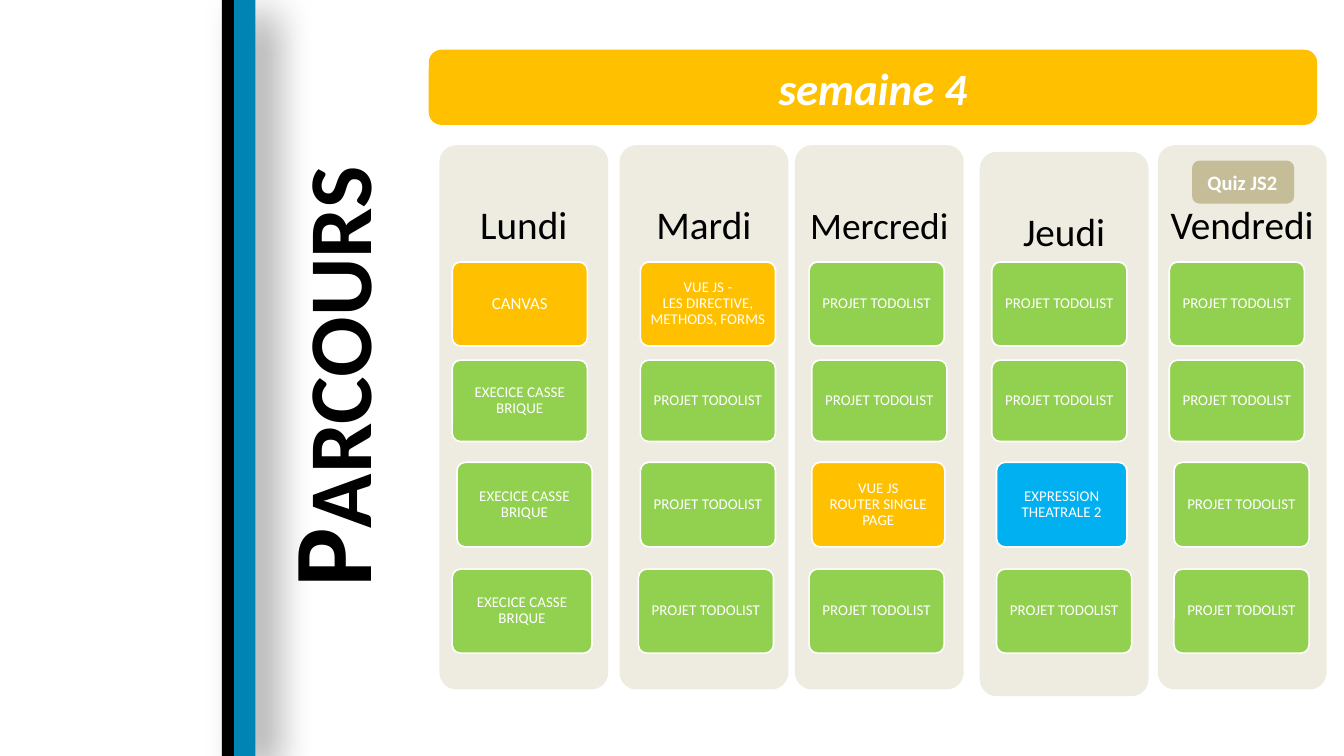
from lxml.etree import SubElement
from pptx import Presentation
from pptx.dml.color import RGBColor
from pptx.enum.shapes import MSO_SHAPE
from pptx.enum.text import MSO_ANCHOR, MSO_AUTO_SIZE, PP_ALIGN
from pptx.oxml.ns import qn
from pptx.util import Inches, Pt

COLORS = {
    "black": "000000", "white": "FFFFFF", "blue": "0084B4", "shade": "333333",
    "sand": "EEECE1", "khaki": "C4BD97", "gold": "FFC000",
    "green": "92D050", "sky": "00B0F0",
}

# The slide is a grid of 100 columns by 56.25 rows, each a tenth of an inch
COLS, ROWS = 100, 56.25
DAY_W, DAY_H = 12.56, 40.5
HEAD_H = 11.3
SLOTS = [(19.5, 6.25), (26.8, 6.05), (34.4, 6.3), (42.35, 6.25)]

TODO = ("PROJET TODOLIST", "green")
GAME = ("EXECICE CASSE BRIQUE", "green")
VUE = ("VUE JS -\vLES DIRECTIVE, METHODS, FORMS", "gold")
ROUTER = ("VUE JS\vROUTER SINGLE PAGE", "gold")

# Day, left, top, text size, then (lesson, left, width) for each slot
WEEK = [
    ("Lundi", 32.7, 10.8, 21,
     [(("CANVAS", "gold"), 33.65, 10.05), (GAME, 33.65, 10.05),
      (GAME, 34, 10.05), (GAME, 33.65, 10.4)]),
    ("Mardi", 46.1, 10.8, 21,
     [(VUE, 47.65, 10.05), (TODO, 47.65, 10.05),
      (TODO, 47.65, 10.05), (TODO, 47.5, 10.05)]),
    ("Mercredi", 59.15, 10.8, 20,
     [(TODO, 60.2, 10.05), (TODO, 60.4, 10.05),
      (ROUTER, 60.4, 9.9), (TODO, 60.2, 10.05)]),
    ("Jeudi", 72.9, 11.3, 21,
     [(TODO, 73.8, 10.05), (TODO, 73.8, 10.05),
      (("EXPRESSION THEATRALE 2", "sky"), 74.15, 9.7), (TODO, 74.15, 10.05)]),
    ("Vendredi", 86.15, 10.8, 21,
     [(TODO, 87, 10.05), (TODO, 87, 10.05),
      (TODO, 87.35, 10.05), (TODO, 87.35, 10.05)]),
]


def unit(n):
    return Inches(n / 10)


def rgb(name):
    return RGBColor.from_string(COLORS[name])


def add_box(slide, x, y, w, h, fill, edge=None, curve=None):
    kind = MSO_SHAPE.RECTANGLE if curve is None else MSO_SHAPE.ROUNDED_RECTANGLE
    box = slide.shapes.add_shape(kind, unit(x), unit(y), unit(w), unit(h))
    box.shadow.inherit = False
    box.fill.solid()
    box.fill.fore_color.rgb = rgb(fill)
    if curve is not None:
        box.adjustments[0] = curve
    if edge:
        box.line.color.rgb = rgb(edge)
        box.line.width = Pt(0.85)
    else:
        box.line.fill.background()
    return box


def set_text(shape, text, size, color, bold=False, italic=False,
             pads=(1, 0.5, 1, 0.5), space=1.0, align=PP_ALIGN.CENTER):
    frame = shape.text_frame
    frame.text = text
    frame.word_wrap = True
    frame.auto_size = MSO_AUTO_SIZE.NONE
    frame.vertical_anchor = MSO_ANCHOR.MIDDLE
    (frame.margin_left, frame.margin_top,
     frame.margin_right, frame.margin_bottom) = map(unit, pads)
    para = frame.paragraphs[0]
    para.alignment = align
    para.line_spacing = space
    for run in para.runs:
        font = run.font
        font.name, font.size = "Calibri", Pt(size)
        font.bold, font.italic = bold, italic
        font.color.rgb = rgb(color)
    return frame


def add_shade(shape):
    effects = shape._element.spPr.find(qn("a:effectLst"))
    shade = SubElement(effects, qn("a:outerShdw"), blurRad=str(Pt(23)),
                       dist=str(Pt(11)), dir=str(45 * 60000),
                       algn="tl", rotWithShape="0")
    color = SubElement(shade, qn("a:srgbClr"), val=COLORS["shade"])
    SubElement(color, qn("a:alpha"), val="65000")


def add_title(slide, text):
    title = slide.shapes.title
    title.left, title.top = unit(-4), unit(22.5)
    title.width, title.height = unit(56.6), unit(11.1)
    title.rotation = 270
    frame = set_text(title, text, 60, "black", bold=True)
    frame.paragraphs[0].runs[0].font._element.set("cap", "small")
    # Bring the title in front of the side bars
    slide.shapes._spTree.append(title._element)


def add_day(slide, name, x, y, size, cells):
    panel = add_box(slide, x, y, DAY_W, DAY_H, "sand", curve=0.1)
    set_text(panel, name, size, "black", space=0.9,
             pads=(0.3, 0.9, 0.3, DAY_H - HEAD_H))
    for ((text, fill), left, wide), (top, high) in zip(cells, SLOTS):
        cell = add_box(slide, left, top, wide, high, fill, "white", 0.1)
        set_text(cell, text, 9 if text == "CANVAS" else 8, "white",
                 pads=(0.3,) * 4, space=0.9)


def main():
    deck = Presentation()
    deck.slide_width, deck.slide_height = unit(COLS), unit(ROWS)
    slide = deck.slides.add_slide(deck.slide_layouts[5])

    # Side bars and title
    add_shade(add_box(slide, 17.3, 0, 1.7, ROWS, "blue"))
    add_box(slide, 16.5, 0, 0.9, ROWS, "black")
    add_title(slide, "Parcours")

    # Week banner
    banner = add_box(slide, 31.9, 3.7, 66.1, 5.6, "gold", curve=0.17)
    set_text(banner, "semaine 4", 24, "white", bold=True, italic=True)

    # Days with their lessons
    for day in WEEK:
        add_day(slide, *day)

    # Quiz tag
    tag = add_box(slide, 88.7, 11.95, 7.6, 3.2, "khaki", curve=0.17)
    set_text(tag, "Quiz JS2", 11, "white", bold=True,
             align=PP_ALIGN.LEFT).word_wrap = False

    deck.save("out.pptx")


if __name__ == "__main__":
    main()
